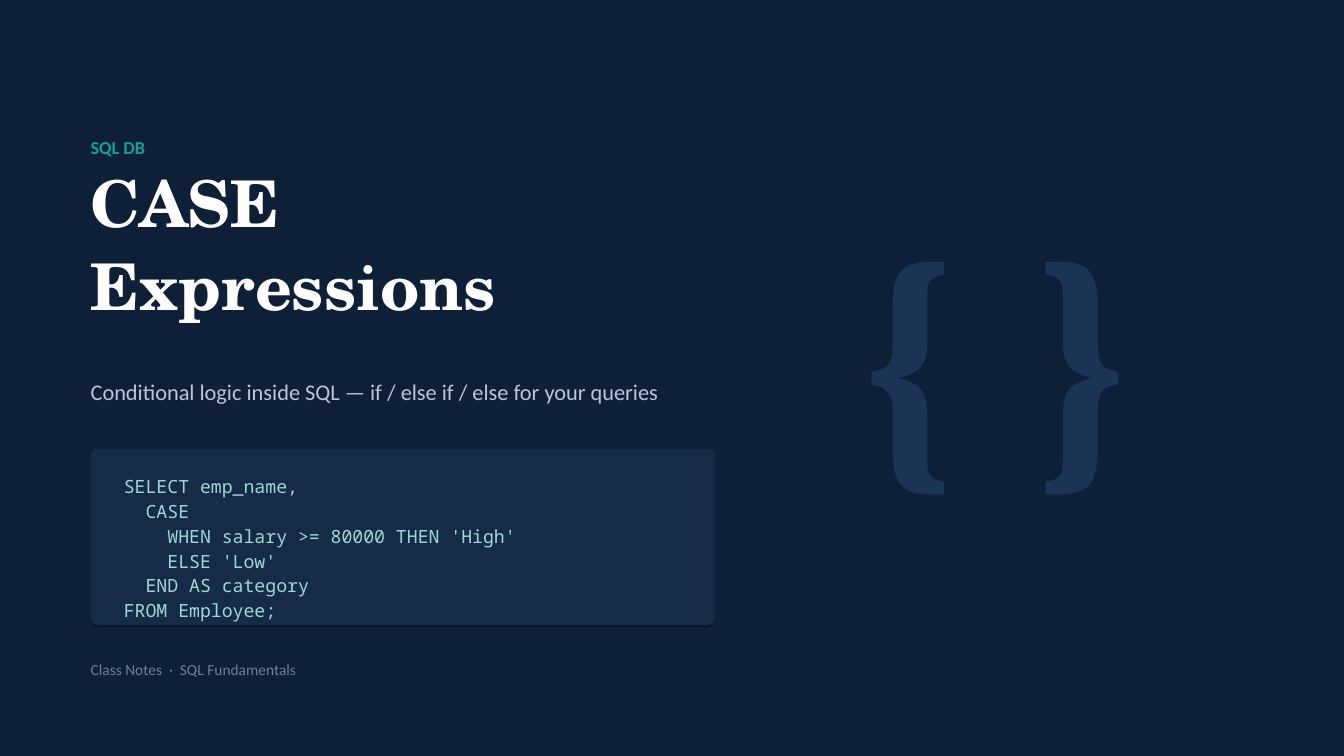
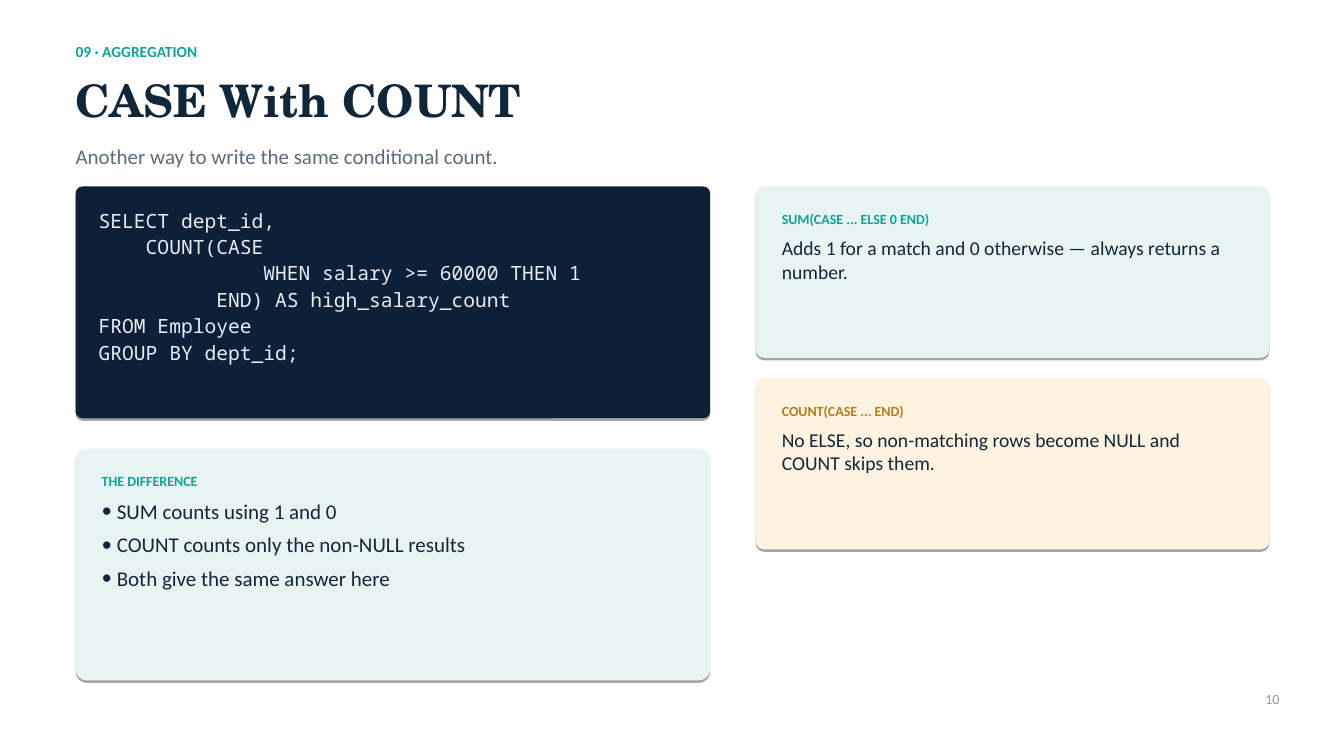
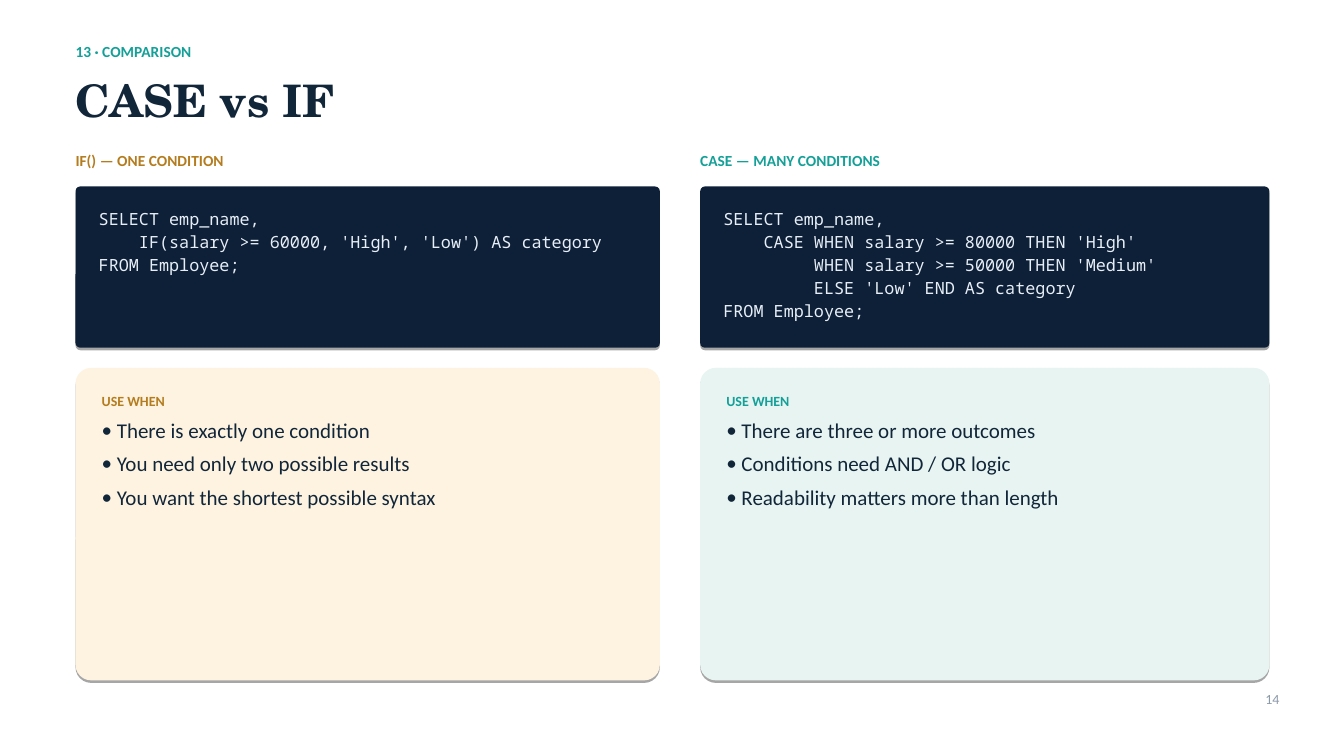
from dataclasses import dataclass

from lxml.etree import SubElement
from pptx import Presentation
from pptx.dml.color import RGBColor
from pptx.enum.shapes import MSO_SHAPE as Shape
from pptx.enum.text import MSO_ANCHOR as Anchor, MSO_AUTO_SIZE as AutoSize, PP_ALIGN as Align
from pptx.oxml.ns import qn
from pptx.util import Inches, Pt

NAVY = RGBColor(0x0E, 0x20, 0x38)
PANEL_NAVY = RGBColor(0x15, 0x2B, 0x48)
BRACE_BLUE = RGBColor(0x1B, 0x33, 0x54)
INK = RGBColor(0x12, 0x26, 0x3A)
SLATE = RGBColor(0x5B, 0x6B, 0x7C)
PAGE_GREY = RGBColor(0x8C, 0x9A, 0xA8)
FOOTER_BLUE = RGBColor(0x6C, 0x80, 0x99)
PALE_BLUE = RGBColor(0xB9, 0xC7, 0xD6)
CODE_WHITE = RGBColor(0xE7, 0xEE, 0xF6)
CODE_MINT = RGBColor(0x9F, 0xD8, 0xD2)
WHITE = RGBColor(0xFF, 0xFF, 0xFF)
TEAL = RGBColor(0x14, 0xA0, 0x98)
AMBER = RGBColor(0xB4, 0x7C, 0x1E)
MINT = RGBColor(0xE7, 0xF4, 0xF1)
CREAM = RGBColor(0xFD, 0xF3, 0xE0)

SANS = "Calibri"
SERIF = "TeX Gyre Schola"
MONO = "Noto Sans Mono"

LEFT = 0.75
RIGHT = 12.6
BODY_TOP = 1.85
BODY_BOTTOM = 6.75
BULLET_INDENT = 0.15
PANEL_INSETS = (0.18, 0.12)

CARD_FILLS = {TEAL: MINT, AMBER: CREAM}


@dataclass
class Line:
    text: str
    size: float
    color: RGBColor
    font: str = SANS
    bold: bool = False
    after: float = 0
    bullet: bool = False


def add_bullet(para, color):
    props = para._p.get_or_add_pPr()
    props.set("marL", str(Inches(BULLET_INDENT)))
    props.set("indent", str(-Inches(BULLET_INDENT)))
    SubElement(SubElement(props, qn("a:buClr")), qn("a:srgbClr"), val=str(color))
    SubElement(props, qn("a:buFont"), typeface=SANS)
    SubElement(props, qn("a:buChar"), char="•")


def add_text(page, x, y, width, lines, insets=(0, 0), align=Align.LEFT, anchor=Anchor.TOP):
    """Add a text box that is as tall as its lines."""
    points = sum(line.size * 1.2 + line.after for line in lines) - lines[-1].after
    height = round(points / 72 + 2 * insets[1], 2)
    box = page.shapes.add_textbox(Inches(x), Inches(y), Inches(width), Inches(height))
    frame = box.text_frame
    frame.word_wrap = True
    frame.auto_size = AutoSize.SHAPE_TO_FIT_TEXT
    frame.vertical_anchor = anchor
    frame.margin_left = frame.margin_right = Inches(insets[0])
    frame.margin_top = frame.margin_bottom = Inches(insets[1])
    for index, line in enumerate(lines):
        para = frame.add_paragraph() if index else frame.paragraphs[0]
        para.text = line.text
        para.alignment = align
        if line.bullet:
            add_bullet(para, line.color)
        para.space_after = Pt(line.after)
        para.font.name = line.font
        para.font.size = Pt(line.size)
        para.font.bold = line.bold
        para.font.color.rgb = line.color


def add_panel(page, x, y, width, height, fill, rounding):
    """Add a rounded rectangle with a thin hard shadow below it."""
    panel = page.shapes.add_shape(
        Shape.ROUNDED_RECTANGLE, Inches(x), Inches(y), Inches(width), Inches(height))
    panel.adjustments[0] = rounding
    panel.fill.solid()
    panel.fill.fore_color.rgb = fill
    panel.line.fill.background()
    panel.shadow.inherit = False
    effects = panel._element.spPr.find(qn("a:effectLst"))
    shadow = SubElement(effects, qn("a:outerShdw"), blurRad="0", dist=str(Pt(1.8)),
                        dir="5400000", rotWithShape="0")
    color = SubElement(shadow, qn("a:srgbClr"), val="000000")
    SubElement(color, qn("a:alpha"), val="35000")


def add_code_text(page, x, y, width, code, size, color):
    lines = [Line(text, size, color, MONO, after=2) for text in code.splitlines()]
    add_text(page, x, y, width, lines, PANEL_INSETS)


def add_code_panel(page, x, y, width, height, code, size):
    add_panel(page, x, y, width, height, NAVY, 0.03)
    add_code_text(page, x + 0.05, y + 0.1, width - 0.2, code, size, CODE_WHITE)


def add_card(page, x, y, width, height, accent, heading, body):
    """Add a tinted card; a list as body becomes bullets, a string a paragraph."""
    add_panel(page, x, y, width, height, CARD_FILLS[accent], 0.05)
    lines = [Line(heading, 10, accent, bold=True, after=6)]
    if isinstance(body, str):
        lines.append(Line(body, 14, INK, after=6))
    else:
        lines += [Line(item, 15, INK, after=6, bullet=True) for item in body]
    add_text(page, x + 0.08, y + 0.12, width - 0.3, lines, PANEL_INSETS)


def add_page(deck):
    return deck.slides.add_slide(deck.slide_layouts[6])


def add_content_page(deck, section, title, number):
    page = add_page(deck)
    add_text(page, LEFT, 0.42, 11.9, [Line(section, 11, TEAL, bold=True)])
    add_text(page, LEFT, 0.72, 11.9, [Line(title, 32, INK, SERIF, bold=True)])
    add_text(page, 12.2, 6.85, 0.5, [Line(str(number), 10, PAGE_GREY)], align=Align.RIGHT)
    return page


COVER_CODE = """\
SELECT emp_name,
  CASE
    WHEN salary >= 80000 THEN 'High'
    ELSE 'Low'
  END AS category
FROM Employee;"""

COUNT_CODE = """\
SELECT dept_id,
    COUNT(CASE
              WHEN salary >= 60000 THEN 1
          END) AS high_salary_count
FROM Employee
GROUP BY dept_id;"""

IF_CODE = """\
SELECT emp_name,
    IF(salary >= 60000, 'High', 'Low') AS category
FROM Employee;"""

CASE_CODE = """\
SELECT emp_name,
    CASE WHEN salary >= 80000 THEN 'High'
         WHEN salary >= 50000 THEN 'Medium'
         ELSE 'Low' END AS category
FROM Employee;"""


def build_cover(deck):
    page = add_page(deck)
    page.background.fill.solid()
    page.background.fill.fore_color.rgb = NAVY
    left = 0.9
    add_text(page, 7.6, 1.83, 4.6, [Line("{ }", 200, BRACE_BLUE, SERIF, bold=True)],
             align=Align.CENTER, anchor=Anchor.MIDDLE)
    add_text(page, left, 1.35, 6.4, [Line("SQL DB", 13, TEAL, bold=True)])
    add_text(page, left, 1.62, 6.8, [Line(word, 46, WHITE, SERIF, bold=True, after=4)
                                     for word in ("CASE", "Expressions")])
    add_text(page, left, 3.75, 6.4, [Line(
        "Conditional logic inside SQL — if / else if / else for your queries", 16, PALE_BLUE)])
    add_panel(page, left, 4.45, 6.2, 1.75, PANEL_NAVY, 0.04)
    add_code_text(page, left + 0.15, 4.6, 5.9, COVER_CODE, 13, CODE_MINT)
    add_text(page, left, 6.55, 7, [Line("Class Notes  ·  SQL Fundamentals", 11, FOOTER_BLUE)])


def build_count(deck):
    page = add_content_page(deck, "09 · AGGREGATION", "CASE With COUNT", 10)
    add_text(page, LEFT, 1.42, 11,
             [Line("Another way to write the same conditional count.", 15, SLATE)])

    width, height = 6.3, 2.3
    add_code_panel(page, LEFT, BODY_TOP, width, height, COUNT_CODE, 14)
    add_card(page, LEFT, BODY_BOTTOM - height, width, height, TEAL, "THE DIFFERENCE", [
        "SUM counts using 1 and 0",
        "COUNT counts only the non-NULL results",
        "Both give the same answer here",
    ])

    side_left, side_height, gap = 7.5, 1.7, 0.2
    side_cards = [
        (TEAL, "SUM(CASE ... ELSE 0 END)",
         "Adds 1 for a match and 0 otherwise — always returns a number."),
        (AMBER, "COUNT(CASE ... END)",
         "No ELSE, so non-matching rows become NULL and COUNT skips them."),
    ]
    for index, card in enumerate(side_cards):
        top = BODY_TOP + index * (side_height + gap)
        add_card(page, side_left, top, RIGHT - side_left, side_height, *card)


def build_comparison(deck):
    page = add_content_page(deck, "13 · COMPARISON", "CASE vs IF", 14)
    code_height, card_top = 1.6, 3.65
    columns = [
        (LEFT, 5.8, AMBER, "IF() — ONE CONDITION", IF_CODE, [
            "There is exactly one condition",
            "You need only two possible results",
            "You want the shortest possible syntax",
        ]),
        (6.95, 5.65, TEAL, "CASE — MANY CONDITIONS", CASE_CODE, [
            "There are three or more outcomes",
            "Conditions need AND / OR logic",
            "Readability matters more than length",
        ]),
    ]
    for x, width, accent, heading, code, uses in columns:
        add_text(page, x, 1.5, width, [Line(heading, 11, accent, bold=True)])
        add_code_panel(page, x, BODY_TOP, width, code_height, code, 12)
        add_card(page, x, card_top, width, BODY_BOTTOM - card_top, accent, "USE WHEN", uses)


def main():
    deck = Presentation()
    deck.slide_width = Inches(13.34)
    deck.slide_height = Inches(7.5)
    build_cover(deck)
    build_count(deck)
    build_comparison(deck)
    deck.save("out.pptx")


if __name__ == "__main__":
    main()
